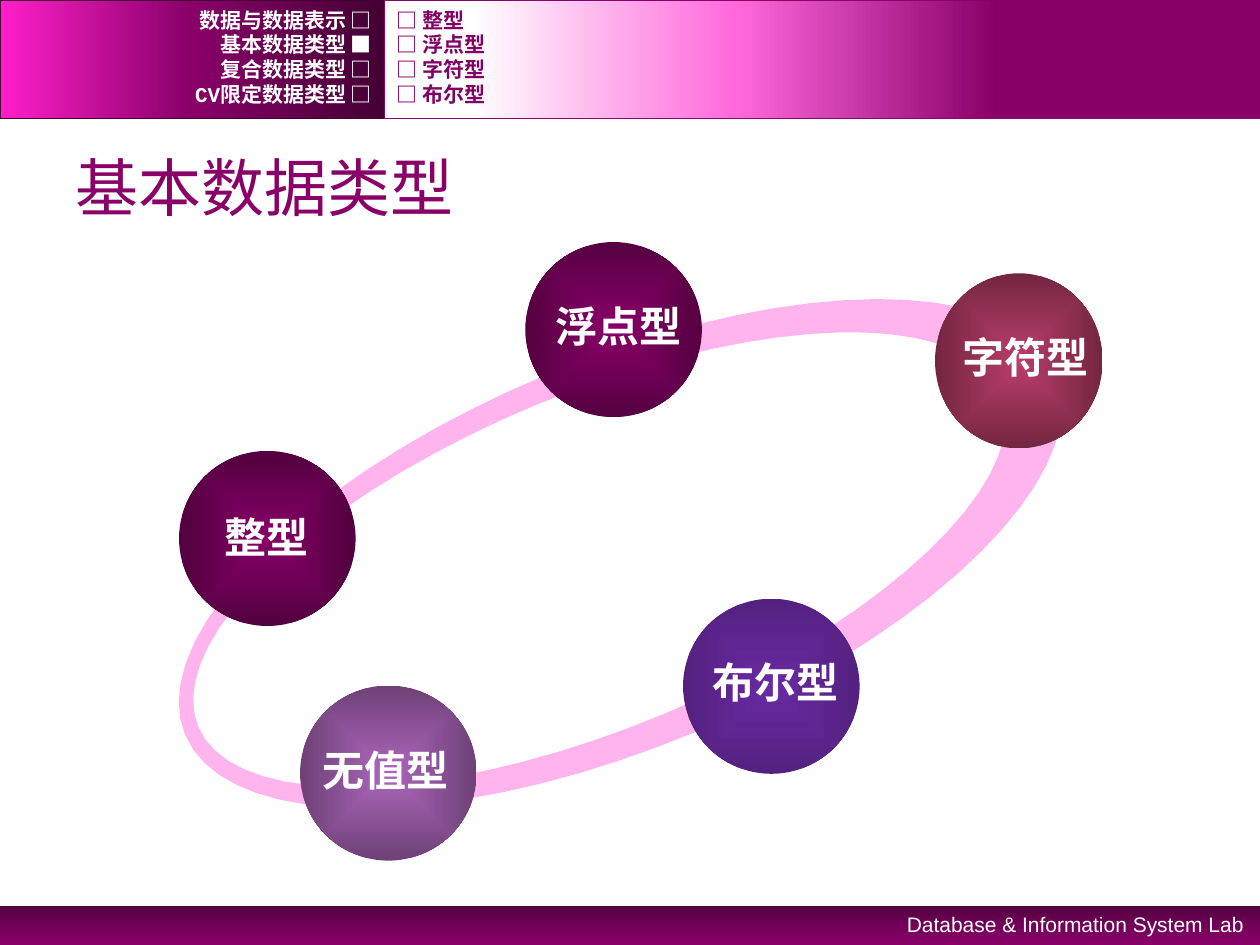
from math import cos, sin, tau
from lxml.etree import SubElement
from pptx import Presentation
from pptx.dml.color import RGBColor as Rgb
from pptx.enum.shapes import MSO_SHAPE as Geo
from pptx.enum.text import MSO_ANCHOR as Anchor, MSO_AUTO_SIZE as Fit, PP_ALIGN as Align
from pptx.oxml import parse_xml
from pptx.oxml.ns import nsdecls, qn
from pptx.util import Cm, Pt


class Theme:
    """Colours, fonts and type sizes of the slide."""
    white, plum, menu, ring = "FFFFFF", "880068", "820064", "FFB4ED"
    dark, pink, rose = "440034", "FF1FCA", "FF69DC"
    foot = "51003E", "730058"
    han, mono, sans = "Noto Sans CJK SC", "Courier New", "Arial"
    small, label, head = Pt(12), Pt(24), Pt(36)


def paint(geo, box, stops, angle=None, edge=None):
    """Add a shape with a gradient: linear at an angle, else from its centre."""
    shape = deck.add_shape(geo, *map(Cm, box))
    shape.shadow.inherit = False
    marks = "".join(f'<a:gs pos="{pos * 1000}"><a:srgbClr val="{tint}"/></a:gs>'
                    for pos, tint in stops)
    if angle is None:
        way = ('<a:path path="shape"><a:fillToRect l="50000" t="50000" '
               'r="50000" b="50000"/></a:path>')
    else:
        way = f'<a:lin ang="{angle * 60000}" scaled="0"/>'
    grad = parse_xml(f'<a:gradFill {nsdecls("a")} rotWithShape="1">'
                     f'<a:gsLst>{marks}</a:gsLst>{way}</a:gradFill>')
    shape.element.spPr.find(qn("a:prstGeom")).addnext(grad)
    if edge:
        shape.line.color.rgb = Rgb.from_string(edge)
        shape.line.width = Pt(1)
    else:
        shape.line.fill.background()


def write(shape, text, size, face, tint, bold=False, align=Align.LEFT, **form):
    """Put one formatted line of text into a shape."""
    frame = shape.text_frame
    for key, value in form.items():
        setattr(frame, key, value)
    line = frame.paragraphs[0]
    line.alignment = align
    run = line.add_run()
    run.text = text
    for key, value in dict(size=size, name=face, bold=bold).items():
        setattr(run.font, key, value)
    run.font.color.rgb = Rgb.from_string(tint)
    SubElement(run.font._element, qn("a:ea"), typeface=Theme.han)


prs = Presentation()
prs.slide_width, prs.slide_height = Cm(25.4), Cm(19.05)
slide = prs.slides.add_slide(prs.slide_layouts[5])
deck = slide.shapes

# Bands and footer
paint(Geo.RECTANGLE, (0, 18.26, 25.4, 0.79),
      [(0, Theme.foot[0]), (50, Theme.foot[1]), (100, Theme.plum)], 90)
paint(Geo.RECTANGLE, (0, 0, 7.75, 2.39),
      [(0, Theme.dark), (50, Theme.plum), (100, Theme.pink)], 180, Theme.dark)
paint(Geo.RECTANGLE, (7.75, 0, 17.65, 2.39),
      [(30, Theme.plum), (60, Theme.rose), (90, Theme.white)], 180, Theme.plum)
foot = deck.add_textbox(Cm(16.31), Cm(18.26), Cm(9.02), Cm(0.76))
write(foot, "Database & Information System Lab", Theme.small, Theme.sans,
      Theme.white, align=Align.RIGHT, word_wrap=True)

# Ring: an ellipse with an off-centre elliptic hole, tilted as a whole
steps = 72
rims = []
for mid_x, mid_y, rad_x, rad_y in [(12.51, 11.16, 9.51, 3.9),
                                   (12.07, 11.11, 8.76, 3.37)]:
    rims.append([(Cm(mid_x + rad_x * cos(tau * n / steps)),
                  Cm(mid_y + rad_y * sin(tau * n / steps))) for n in range(steps)])
outer, inner = rims
pen = deck.build_freeform(*outer[0])
pen.add_line_segments(outer[1:], close=True)
pen.move_to(*inner[0])
pen.add_line_segments(inner[1:], close=True)
ring = pen.convert_to_shape()
ring.rotation = 337.4
ring.shadow.inherit = False
ring.fill.solid()
ring.fill.fore_color.rgb = Rgb.from_string(Theme.ring)
ring.line.fill.background()

# Balls: left, top, width, core, rim, then label with its left, top, width
balls = [
    (10.59, 4.88, 3.56, Theme.plum, "560041", "浮点型", 10.95, 5.94, 3.1),
    (3.61, 9.09, 3.56, Theme.plum, "52003F", "整型", 4.27, 10.19, 2.24),
    (6.05, 13.82, 3.56, "AC66BB", "6E4177", "无值型", 6.25, 14.88, 3.1),
    (13.77, 12.07, 3.56, "692AA2", "53217F", "布尔型", 14.12, 13.11, 3.1),
    (18.85, 5.51, 3.38, "B83D68", "742641", "字符型", 19.15, 6.55, 3.1),
]
for left, top, wide, core, rim, name, text_x, text_y, text_w in balls:
    paint(Geo.OVAL, (left, top, wide, 3.53), [(0, core), (100, rim)])
    label = deck.add_textbox(Cm(text_x), Cm(text_y), Cm(text_w), Cm(1.27))
    write(label, name, Theme.label, Theme.han, Theme.white, True,
          word_wrap=False, auto_size=Fit.SHAPE_TO_FIT_TEXT)

# Title
title = deck.title
title.left, title.top, title.width, title.height = map(Cm, (1.27, 2.77, 22.86, 1.98))
write(title, "基本数据类型", Theme.head, Theme.han, Theme.plum,
      vertical_anchor=Anchor.MIDDLE, auto_size=Fit.NONE)

# Menus in the top bands
menus = [
    (0, 7.75, Theme.white, Align.RIGHT,
     ["数据与数据表示 □", "基本数据类型 ■", "复合数据类型 □", "CV限定数据类型 □"]),
    (7.75, 15.29, Theme.menu, Align.LEFT,
     ["□ 整型", "□ 浮点型", "□ 字符型", "□ 布尔型"]),
]
for left, wide, tint, align, items in menus:
    for row, item in enumerate(items):
        entry = deck.add_textbox(Cm(left), Cm(0.15 + 0.5 * row), Cm(wide), Cm(0.5))
        write(entry, item, Theme.small, Theme.mono, tint, True, align,
              word_wrap=True, vertical_anchor=Anchor.MIDDLE,
              margin_top=0, margin_bottom=0)

prs.save("out.pptx")
